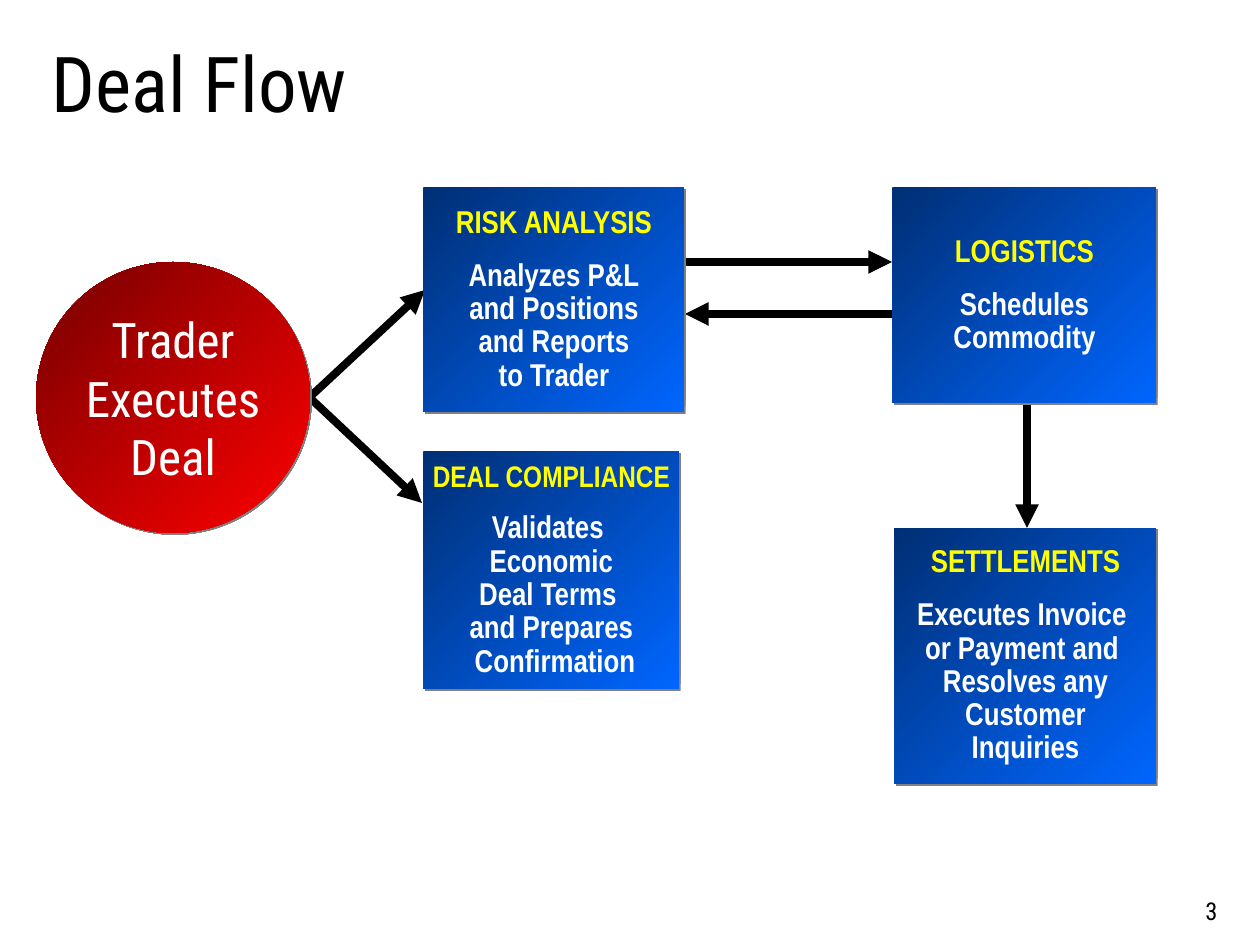
from dataclasses import dataclass

from lxml.etree import SubElement
from pptx import Presentation
from pptx.dml.color import RGBColor
from pptx.enum.shapes import MSO_CONNECTOR, MSO_SHAPE
from pptx.enum.text import MSO_ANCHOR, PP_ALIGN
from pptx.oxml.ns import qn
from pptx.util import Emu, Pt

PX_PER_INCH = 126
HEADING_FONT = "Roboto Condensed"
BODY_FONT = "Arial Narrow"
BLACK, WHITE, YELLOW = "000000", "FFFFFF", "FFFF00"
BLUES = ("0066FF", "002F75")
REDS = ("FF0000", "750000")


@dataclass
class Block:
    """One paragraph; each line break in the text is a soft break."""
    text: str
    size: float
    color: str
    font: str = BODY_FONT
    bold: bool = False
    align: PP_ALIGN = PP_ALIGN.CENTER
    spacing: float = 1.0
    after: float = 0


@dataclass
class Node:
    left: int
    top: int
    width: int
    height: int
    shape: MSO_SHAPE
    shades: tuple[str, str]
    blocks: list[Block]


@dataclass
class Arrow:
    start: tuple[int, int]
    end: tuple[int, int]


def px(length: int) -> Emu:
    return Emu(round(length * 914400 / PX_PER_INCH))


def rgb(color: str) -> RGBColor:
    return RGBColor.from_string(color)


def step(title: str, body: str, title_size: float = 18, title_after: float = 11.2,
         body_after: float = 11.2) -> list[Block]:
    """Yellow heading above a white description."""
    return [
        Block(title, title_size, YELLOW, bold=True, spacing=0.88, after=title_after),
        Block(body, 18, WHITE, bold=True, spacing=0.88, after=body_after),
    ]


def write(frame, blocks: list[Block], anchor: MSO_ANCHOR, wrap: bool) -> None:
    frame.word_wrap = wrap
    frame.vertical_anchor = anchor
    for index, block in enumerate(blocks):
        para = frame.add_paragraph() if index else frame.paragraphs[0]
        para.alignment = block.align
        para.line_spacing = block.spacing
        para.space_before = Pt(0)
        para.space_after = Pt(block.after)
        for number, line in enumerate(block.text.split("\n")):
            if number:
                para.add_line_break()
            span = para.add_run()
            span.text = line
            span.font.name = block.font
            span.font.size = Pt(block.size)
            span.font.bold = block.bold
            span.font.color.rgb = rgb(block.color)


def add_label(page, left: int, top: int, width: int, height: int, block: Block,
              anchor: MSO_ANCHOR) -> None:
    box = page.shapes.add_textbox(px(left), px(top), px(width), px(height))
    write(box.text_frame, [block], anchor, wrap=True)


def add_shadow(shape) -> None:
    shape.shadow.inherit = False
    effects = shape._element.spPr.find(qn("a:effectLst"))
    shadow = SubElement(effects, qn("a:outerShdw"), dist=str(Pt(1.4)),
                        dir=str(45 * 60000), algn="ctr", rotWithShape="0")
    SubElement(shadow, qn("a:srgbClr"), val="808080")


def add_node(page, node: Node) -> None:
    shape = page.shapes.add_shape(node.shape, px(node.left), px(node.top),
                                  px(node.width), px(node.height))
    shape.fill.gradient()
    shape.fill.gradient_angle = 135
    for stop, shade in zip(shape.fill.gradient_stops, node.shades):
        stop.color.rgb = rgb(shade)
    shape.line.fill.background()
    add_shadow(shape)
    write(shape.text_frame, node.blocks, MSO_ANCHOR.MIDDLE, wrap=False)


def add_arrow(page, arrow: Arrow) -> None:
    line = page.shapes.add_connector(MSO_CONNECTOR.STRAIGHT, *map(px, arrow.start + arrow.end))
    line.line.color.rgb = rgb(BLACK)
    line.line.width = Pt(4.5)
    SubElement(line.line._get_or_add_ln(), qn("a:tailEnd"), type="triangle")
    SubElement(line._element.spPr, qn("a:effectLst"))


ARROWS = [
    Arrow((311, 396), (425, 290)),    # trader to risk analysis
    Arrow((309, 397), (422, 503)),    # trader to deal compliance
    Arrow((675, 262), (892, 262)),    # risk analysis to logistics
    Arrow((901, 314), (685, 314)),    # logistics to risk analysis
    Arrow((1027, 343), (1027, 528)),  # logistics to settlements
]

NODES = [
    Node(895, 528, 261, 256, MSO_SHAPE.RECTANGLE, BLUES, step(
        "SETTLEMENTS",
        "Executes Invoice \nor Payment and \nResolves any\nCustomer\nInquiries")),
    Node(424, 452, 255, 237, MSO_SHAPE.RECTANGLE, BLUES, step(
        "DEAL COMPLIANCE",
        "Validates \nEconomic\nDeal Terms \nand Prepares\n Confirmation",
        title_size=17, title_after=10.6, body_after=0)),
    Node(424, 188, 260, 224, MSO_SHAPE.RECTANGLE, BLUES, step(
        "RISK ANALYSIS", "Analyzes P&L\nand Positions\nand Reports\nto Trader")),
    Node(36, 262, 274, 271, MSO_SHAPE.OVAL, REDS, [
        Block("Trader\nExecutes\nDeal", 28, WHITE, HEADING_FONT)]),
    Node(893, 188, 263, 215, MSO_SHAPE.RECTANGLE, BLUES, step(
        "LOGISTICS", "Schedules\nCommodity")),
]


def main() -> None:
    deck = Presentation()
    deck.slide_width, deck.slide_height = px(1260), px(945)
    page = deck.slides.add_slide(deck.slide_layouts[6])

    # Title and page number
    add_label(page, 39, 11, 1183, 158,
              Block("Deal Flow", 44, BLACK, HEADING_FONT, align=PP_ALIGN.LEFT, spacing=0.8),
              MSO_ANCHOR.MIDDLE)
    add_label(page, 1182, 890, 59, 47, Block("3", 14, BLACK, HEADING_FONT), MSO_ANCHOR.TOP)

    # Arrows run beneath the steps they join
    for arrow in ARROWS:
        add_arrow(page, arrow)
    for node in NODES:
        add_node(page, node)

    deck.save("out.pptx")


if __name__ == "__main__":
    main()
